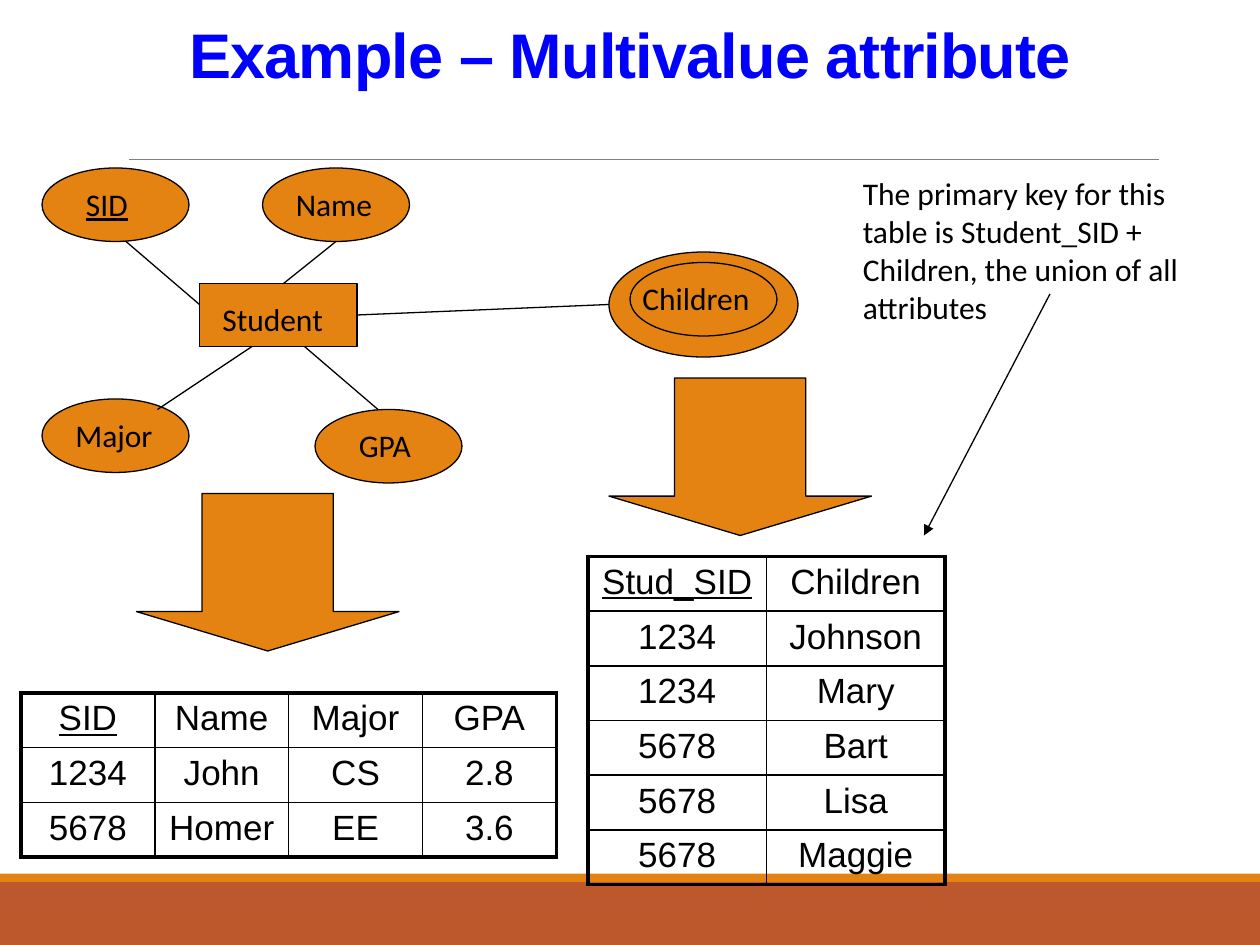
from lxml.etree import SubElement
from pptx import Presentation
from pptx.dml.color import RGBColor as RGB
from pptx.enum.shapes import MSO_CONNECTOR as CONN, MSO_SHAPE as SHAPE
from pptx.enum.text import MSO_ANCHOR as ANCHOR, PP_ALIGN as ALIGN
from pptx.oxml.ns import qn
from pptx.util import Inches, Pt

COLORS = {"orange": "E48312", "rust": "BD582C", "black": "000000",
          "white": "FFFFFF", "gray": "808080", "blue": "0000FF"}
C = {name: RGB.from_string(value) for name, value in COLORS.items()}

prs = Presentation()
prs.slide_width, prs.slide_height = Inches(10), Inches(7.5)
U = prs.slide_width // 120  # grid of 120 columns by 90 rows
s = prs.slides.add_slide(prs.slide_layouts[5])
shapes = s.shapes


def write(p, text, color="black", **fmt):
    r = p.add_run()
    r.text = text
    for name, value in fmt.items():
        setattr(r.font, name, value)
    r.font.color.rgb = C[color]
    return r


def connect(x1, y1, x2, y2, color="black", width=0.75):
    ln = shapes.add_connector(CONN.STRAIGHT, *(int(v * U) for v in (x1, y1, x2, y2)))
    ln.line.color.rgb = C[color]
    ln.line.width = Pt(width)
    SubElement(ln._element.spPr, qn("a:effectLst"))
    return ln


# Footer bands and the rule under the title
for top, height, color in [(84, 6, "rust"), (83.2, 0.8, "orange")]:
    sp = shapes.add_shape(SHAPE.RECTANGLE, 0, int(top * U), 120 * U, int(height * U))
    sp.shadow.inherit = False
    sp.fill.solid()
    sp.fill.fore_color.rgb = C[color]
    sp.line.fill.background()
connect(12.25, 15.15, 110.4, 15.15, "gray", 0.5)

# Title
title = shapes.title
title.left, title.top, title.width, title.height = 6 * U, 2 * U, 108 * U, 15 * U
tf = title.text_frame
tf.vertical_anchor = ANCHOR.TOP
p = tf.paragraphs[0]
p.alignment, p.line_spacing = ALIGN.CENTER, 0.85
r = write(p, "Example – Multivalue attribute", "blue",
          size=Pt(36), name="Arial", bold=True)
r.font._element.set("spc", "-50")

# Entity, attributes and block arrows
for kind, *box in [
    (SHAPE.RECTANGLE, 19, 27, 15, 6),
    (SHAPE.OVAL, 25, 16, 14, 7),
    (SHAPE.OVAL, 4, 16, 14, 7),
    (SHAPE.OVAL, 4, 38, 14, 7),
    (SHAPE.OVAL, 30, 39, 14, 7),
    (SHAPE.OVAL, 58, 24, 18, 10),
    (SHAPE.OVAL, 60, 25, 14, 7),
    (SHAPE.DOWN_ARROW, 13, 47, 25, 15),
    (SHAPE.DOWN_ARROW, 58, 36, 25, 15),
]:
    sp = shapes.add_shape(kind, *(v * U for v in box))
    sp.shadow.inherit = False
    sp.fill.solid()
    sp.fill.fore_color.rgb = C["orange"]
    sp.line.color.rgb = C["black"]
    sp.line.width = Pt(0.75)
    if kind == SHAPE.DOWN_ARROW:
        sp.adjustments[0], sp.adjustments[1] = 0.5, 0.25

for ends in [(12, 23, 19, 29), (32, 23, 27, 27), (36, 39, 29, 33),
             (15, 39, 24, 33), (58, 29, 34, 30)]:
    connect(*ends)
pointer = connect(100, 28, 88, 51)
SubElement(pointer.line._get_or_add_ln(), qn("a:tailEnd"), type="triangle")

# Labels and the note on the key
note = ("The primary key for this table is Student_SID + Children, "
        "the union of all attributes")
for text, x, y, w, h in [
    ("Student", 20, 28, 13, 4.8),
    ("SID", 7, 17, 10, 4.8),
    ("Name", 27, 17, 11, 4.8),
    ("Major", 6, 39, 10, 4.8),
    ("GPA", 33, 40, 9, 4.8),
    ("Children", 60, 26, 14, 4.8),
    (note, 81, 16, 36, 15.6),
]:
    tf = shapes.add_textbox(x * U, y * U, w * U, int(h * U)).text_frame
    tf.word_wrap = True
    write(tf.paragraphs[0], text, size=Pt(18), name="Calibri", underline=text == "SID")

# Tables: left, top, column width, row height, rows of text
for x, y, col_w, row_h, data in [
    (2, 66, 12.75, 4.92, [["SID", "Name", "Major", "GPA"],
                          ["1234", "John", "CS", "2.8"],
                          ["5678", "Homer", "EE", "3.6"]]),
    (56, 53, 17, 5.2, [["Stud_SID", "Children"], ["1234", "Johnson"],
                       ["1234", "Mary"], ["5678", "Bart"],
                       ["5678", "Lisa"], ["5678", "Maggie"]]),
]:
    rows, cols = len(data), len(data[0])
    tbl = shapes.add_table(rows, cols, x * U, y * U, int(cols * col_w * U),
                           int(rows * row_h * U)).table
    tbl.first_row = tbl.horz_banding = False
    for col in tbl.columns:
        col.width = int(col_w * U)
    for i, row in enumerate(data):
        tbl.rows[i].height = int(row_h * U)
        for j, text in enumerate(row):
            cell = tbl.cell(i, j)
            p = cell.text_frame.paragraphs[0]
            p.alignment = ALIGN.CENTER
            write(p, text, size=Pt(20), name="Arial", underline=i == j == 0)
            tcPr = cell._tc.get_or_add_tcPr()
            outer = {"L": j == 0, "R": j == cols - 1, "T": i == 0, "B": i == rows - 1}
            for side, thick in outer.items():
                ln = SubElement(tcPr, qn(f"a:ln{side}"), w=str(Pt(2.25 if thick else 1)))
                fill = SubElement(ln, qn("a:solidFill"))
                SubElement(fill, qn("a:srgbClr"), val=COLORS["black"])
            if i == 1:
                cell.fill.solid()
                cell.fill.fore_color.rgb = C["white"]
            else:
                cell.fill.background()

prs.save("out.pptx")
